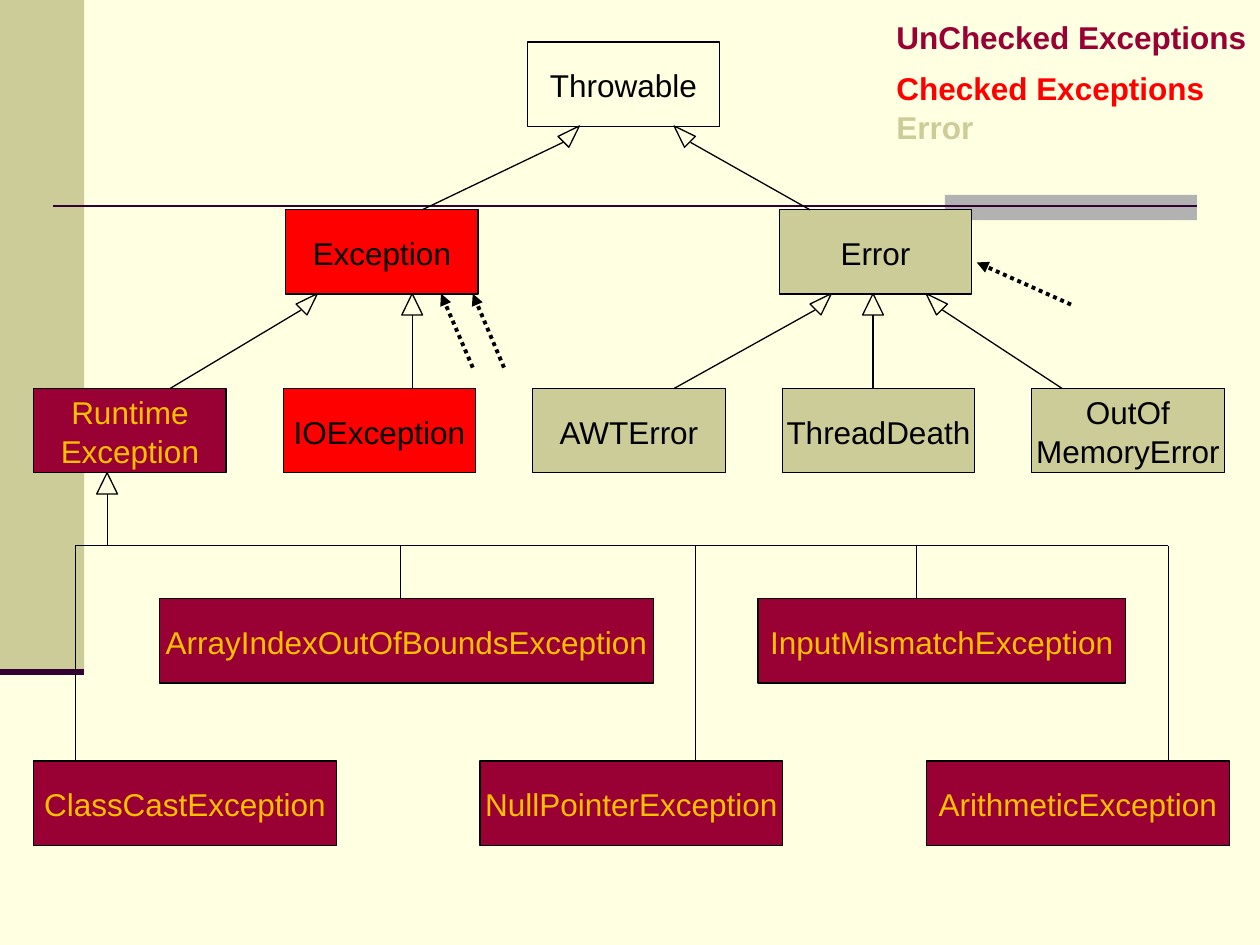
from pptx import Presentation
from pptx.dml.color import RGBColor
from pptx.enum.dml import MSO_LINE
from pptx.enum.shapes import MSO_CONNECTOR, MSO_SHAPE
from pptx.enum.text import MSO_ANCHOR, MSO_AUTO_SIZE, PP_ALIGN
from pptx.oxml.ns import qn
from pptx.util import Cm, Pt
from lxml import etree

RECT = MSO_SHAPE.RECTANGLE
STRAIGHT = MSO_CONNECTOR.STRAIGHT
DOTTED = MSO_LINE.ROUND_DOT
MIDDLE = MSO_ANCHOR.MIDDLE
GROW = MSO_AUTO_SIZE.SHAPE_TO_FIT_TEXT
CENTER, LEFT = PP_ALIGN.CENTER, PP_ALIGN.LEFT

BLACK, RED, MAROON, GOLD = "000000", "FF0000", "990033", "FFC000"
KHAKI, CREAM, PLUM, GRAY = "CCCC99", "FFFFE1", "330033", "B2B2B2"

BOX_W, BOX_H, LONG_W = 3.88, 1.7, 6.1
LEFT_X = 0.68
TOP_Y, PARENT_Y, CHILD_Y, UPPER_Y, LOWER_Y = 0.85, 4.23, 7.83, 12.07, 15.34
BUS_Y, BUS_LEFT, BUS_RIGHT = 11, 1.52, 23.55


def rgb(value):
    return RGBColor.from_string(value)


class Diagram:
    font = {"name": "Arial", "size": Pt(18)}

    def __init__(self, prs):
        self.s = prs.slides.add_slide(prs.slide_layouts[6])
        fill = self.s.background.fill
        fill.solid()
        fill.fore_color.rgb = rgb(CREAM)

    def label(self, p, text, color, align, bold=False):
        p.alignment = align
        p.line_spacing = 1.05
        r = p.add_run()
        r.text = text
        for key, value in {**self.font, "bold": bold}.items():
            setattr(r.font, key, value)
        r.font.color.rgb = rgb(color)

    def panel(self, x, y, w, h, fill=None):
        sp = self.s.shapes.add_shape(RECT, Cm(x), Cm(y), Cm(w), Cm(h))
        sp.shadow.inherit = False
        sp.line.fill.background()
        if fill:
            sp.fill.solid()
            sp.fill.fore_color.rgb = rgb(fill)
        else:
            sp.fill.background()
        return sp

    def box(self, lines, x, y, fill=None, color=BLACK, w=BOX_W):
        sp = self.panel(x, y, w, BOX_H, fill)
        sp.line.color.rgb = rgb(BLACK)
        sp.line.width = Pt(0.75)
        tf = sp.text_frame
        tf.word_wrap = False
        tf.vertical_anchor = MIDDLE
        for i, text in enumerate(lines):
            p = tf.add_paragraph() if i else tf.paragraphs[0]
            self.label(p, text, color, CENTER)

    def legend(self, entries, x, y, w, h):
        tf = self.s.shapes.add_textbox(Cm(x), Cm(y), Cm(w), Cm(h)).text_frame
        tf.word_wrap = False
        tf.auto_size = GROW
        for i, (text, color, gap) in enumerate(entries):
            p = tf.add_paragraph() if i else tf.paragraphs[0]
            if gap:
                p.space_before = Pt(gap)
            self.label(p, text, color, LEFT, True)

    def line(self, x1, y1, x2, y2, color=BLACK, width=0.75, pointer=False):
        c = self.s.shapes.add_connector(STRAIGHT, Cm(x1), Cm(y1), Cm(x2), Cm(y2))
        c.line.color.rgb = rgb(color)
        c.line.width = Pt(width)
        spPr = c.element.spPr
        if pointer:
            c.line.dash_style = DOTTED
            etree.SubElement(spPr.find(qn("a:ln")), qn("a:tailEnd"), type="triangle")
        etree.SubElement(spPr, qn("a:effectLst"))

    def inherits(self, x1, y1, x, y, side):
        if side:
            corners = [(side * 0.43, 0.21), (side * 0.21, 0.43)]
            joint = (side * 0.33, 0.33)
        else:
            corners = [(-0.21, 0.43), (0.21, 0.43)]
            joint = (0, 0.43)
        self.line(x1, y1, x + joint[0], y + joint[1])
        fb = self.s.shapes.build_freeform(Cm(x), Cm(y))
        fb.add_line_segments([(Cm(x + dx), Cm(y + dy)) for dx, dy in corners])
        sp = fb.convert_to_shape()
        sp.shadow.inherit = False
        sp.fill.background()
        sp.line.color.rgb = rgb(BLACK)
        sp.line.width = Pt(0.75)


def main():
    prs = Presentation()
    prs.slide_width, prs.slide_height = Cm(25.4), Cm(19.05)
    d = Diagram(prs)

    d.panel(0, 0, 1.7, 13.55, KHAKI)
    d.panel(19.05, 3.93, 5.08, 0.51, GRAY)
    d.line(1.06, 4.15, 24.13, 4.15, PLUM, 1.5)
    d.line(0, 13.55, 1.7, 13.55, PLUM, 3.5)

    d.box(["Throwable"], 10.63, TOP_Y)
    d.box(["Exception"], 5.76, PARENT_Y, RED)
    d.box(["Error"], 15.71, PARENT_Y, KHAKI)

    children = [
        (["Runtime", "Exception"], MAROON, GOLD),
        (["IOException"], RED, BLACK),
        (["AWTError"], KHAKI, BLACK),
        (["ThreadDeath"], KHAKI, BLACK),
        (["OutOf", "MemoryError"], KHAKI, BLACK),
    ]
    for i, (lines, fill, color) in enumerate(children):
        d.box(lines, LEFT_X + i * 5.03, CHILD_Y, fill, color)

    d.box(["ArrayIndexOutOfBoundsException"], 3.22, UPPER_Y, MAROON, GOLD, 9.95)
    d.box(["InputMismatchException"], 15.28, UPPER_Y, MAROON, GOLD, 7.41)
    lower = ["ClassCastException", "NullPointerException", "ArithmeticException"]
    for i, name in enumerate(lower):
        d.box([name], LEFT_X + i * 9, LOWER_Y, MAROON, GOLD, LONG_W)

    top_bottom, parent_bottom = 2.54, 5.92
    for x1, x, side in [(8.51, 11.68, -1), (16.33, 13.59, 1)]:
        d.inherits(x1, PARENT_Y, x, top_bottom, side)
    for x1, x, side in [(3.43, 6.4, -1), (8.31, 8.31, 0), (13.59, 16.76, -1),
                        (17.6, 17.6, 0), (21.41, 18.67, 1)]:
        d.inherits(x1, CHILD_Y, x, parent_bottom, side)
    d.inherits(2.16, BUS_Y, 2.16, 9.53, 0)

    d.line(BUS_LEFT, BUS_Y, BUS_RIGHT, BUS_Y)
    for x in (BUS_LEFT, 14.02, BUS_RIGHT):
        d.line(x, BUS_Y, x, LOWER_Y)
    for x in (8.08, 18.47):
        d.line(x, BUS_Y, x, UPPER_Y)

    for x1, y1, x2, y2 in [(10.16, 7.41, 9.53, 5.92), (9.53, 7.41, 8.89, 5.92),
                           (21.59, 6.14, 19.69, 5.29)]:
        d.line(x1, y1, x2, y2, width=2.25, pointer=True)

    d.legend([("UnChecked Exceptions", MAROON, 0), ("Checked Exceptions", RED, 6),
              ("Error", KHAKI, 0)], 17.82, 0.21, 7.57, 2.77)

    prs.save("out.pptx")


if __name__ == "__main__":
    main()
